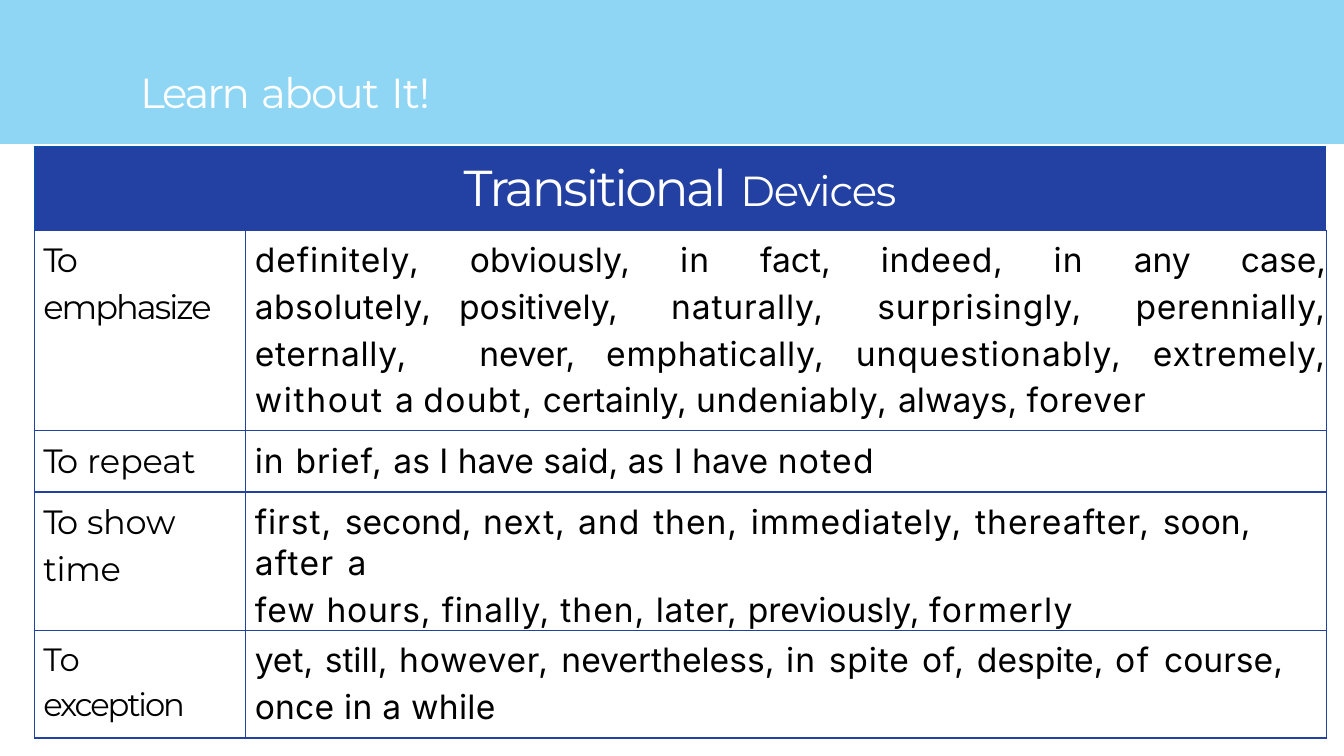
from pptx import Presentation
from pptx import util as u
from pptx.dml.color import RGBColor
from pptx.enum import shapes, text
from pptx.oxml import parse_xml
from pptx.oxml.ns import nsdecls

Cm, Pt = u.Cm, u.Pt


class Theme:
    sky, navy, edge = "8ED6F3", "2340A3", "0055B3"
    white, black = "FFFFFF", "000000"
    head, body = "Montserrat", "Inter"
    big, title, cell, small = 36, 30, 24, 23


def write(frame, runs, font=Theme.body, size=Theme.cell, color=Theme.black,
          align=text.PP_ALIGN.LEFT, before=0, line=1.0, indent=0.23, space=0):
    """Add a paragraph of (words, tracking[, size]) runs; space widens the gap after each."""
    para = frame.paragraphs[0]
    if para.runs:
        para = frame.add_paragraph()
    para.alignment, para.line_spacing = align, line
    para.space_before = Pt(before)
    props = para._p.get_or_add_pPr()
    props.set("marL", str(Cm(indent)))
    props.set("indent", "0")
    for words, track, *own in runs:
        if words == "\n":
            para.add_line_break()
            continue
        parts = [(words, track)]
        if space and words.endswith(" "):
            parts = [(words[:-1], track), (" ", track + space)]
        for part, gap in parts:
            run = para.add_run()
            run.text = part
            run.font.name, run.font.bold = font, False
            run.font.size = Pt(own[0] if own else size)
            run.font.color.rgb = RGBColor.from_string(color)
            run._r.get_or_add_rPr().set("spc", str(round(gap * 100)))


def frame_cell(cell, top, left, right, low):
    """Draw the four borders of a cell in the given colours."""
    props = cell._tc.get_or_add_tcPr()
    for i, (side, color) in enumerate(zip("LRTB", (left, right, top, low))):
        props.insert(i, parse_xml(
            f'<a:ln{side} {nsdecls("a")} w="{Pt(1)}"><a:solidFill>'
            f'<a:srgbClr val="{color}"/></a:solidFill></a:ln{side}>'))


deck = Presentation()
deck.slide_width, deck.slide_height = Cm(33.87), Cm(19.05)
slide = deck.slides.add_slide(deck.slide_layouts[5])

# Banner and title
band = slide.shapes.add_shape(shapes.MSO_SHAPE.RECTANGLE, 0, 0, deck.slide_width, Cm(3.63))
band.shadow.inherit = False
band.fill.solid()
band.fill.fore_color.rgb = RGBColor.from_string(Theme.sky)
band.line.fill.background()
slide.shapes._spTree.insert(2, band._element)

title = slide.shapes.title
title.left, title.top, title.width, title.height = Cm(3.5), Cm(1.65), Cm(7.9), Cm(1.35)
frame = title.text_frame
frame.margin_left = frame.margin_right = frame.margin_bottom = 0
frame.margin_top = Cm(0.03)
frame.vertical_anchor = text.MSO_ANCHOR.TOP
frame.auto_size = text.MSO_AUTO_SIZE.NONE
write(frame, [("Learn ", -1.6), ("about ", -1.2), ("It!", -0.6)], font=Theme.head,
      size=Theme.title, color=Theme.white, before=1, indent=0.03, space=1.7)

# Each row: top margin, space before, line spacing, word gap, label and device paragraphs
near, mid, far, vast = [(" ", gap) for gap in (6.5, 13.5, 25, 43)]
brk = ("\n", 0)
rows = [
    (0.1, 3, 1.15, 0,
     [[("To ", -2.8), ("emphasize", -1.4)]],
     [[("definitely,", 0.7), far, ("obviously,", 0), far, ("in", 0.8), far,
       ("fact,", 0), far, ("indeed,", 0.5), far, ("in", 0.8), far, ("any", 0), far,
       ("case,", 0), brk,
       ("absolutely,", 0.4), near, ("positively,", 0), far, ("naturally,", 0.6), far,
       ("surprisingly,", 0.6), far, ("perennially,", 0.5), brk,
       ("eternally,", 0.5), vast, ("never,", -0.1), mid, ("emphatically,", 0.5), mid,
       ("unquestionably,", 0.7), mid, ("extremely,", 0.6), brk,
       ("without ", 1.2), ("a ", 0), ("doubt,", 1), (" certainly, ", -0.1),
       ("undeniably, ", 0.6), ("always, ", 0), ("forever", 0.7)]]),
    (0.25, 7.4, 1.0, 0,
     [[("To ", -2.5), ("repeat", -0.1)]],
     [[("in ", 0.8), ("brief, ", 0.7), ("as I have said, as I have ", 0), ("noted", 0.9)]]),
    (0.25, 7.4, 1.0, 1.5,
     [[("To ", -2.5), ("show", -0.2)], [("time", -0.2)]],
     [[("first, ", 0.7), ("second, ", 0), ("next, ", 0.6), ("and ", 0.8), ("then, ", 0.7),
       ("immediately, ", 0.7), ("thereafter, ", 0.8), ("soon, ", 0), ("after ", 1),
       ("a", -0.5)],
      [("few ", 0.8), ("hours, ", 0.6), ("finally, ", 0.5), ("then, ", 0.7),
       ("later, ", 0.5), ("previously, ", 0), ("formerly", 1)]]),
    (0.1, 3, 1.15, 1.5,
     [[("To", -0.2, Theme.small), brk, ("exception", -1.5, Theme.small)]],
     [[("yet, ", 0), ("still, ", 0), ("however, ", 0.6), ("nevertheless, ", 0), ("in ", 0.8),
       ("spite ", 0.6), ("of, ", 0.5), ("despite, ", 0), ("of ", 1.2), ("course, ", 0),
       ("once in a while", 0.2)]]),
]

# Table
wide, tall = (5.33, 27.23), (2.11, 5.05, 1.55, 2.72, 2.72)
table = slide.shapes.add_table(len(tall), len(wide), Cm(0.86), Cm(3.69),
                               Cm(sum(wide)), Cm(sum(tall))).table
table.first_row = table.horz_banding = False
for col, size in zip(table.columns, wide):
    col.width = Cm(size)
for row, size in zip(table.rows, tall):
    row.height = Cm(size)
for cell in table.iter_cells():
    cell.margin_left = cell.margin_right = cell.margin_bottom = 0
    cell.fill.background()

head = table.cell(0, 0)
head.merge(table.cell(0, 1))
head.margin_top = Cm(0.28)
head.fill.solid()
head.fill.fore_color.rgb = RGBColor.from_string(Theme.navy)
frame_cell(head, Theme.edge, Theme.edge, Theme.white, Theme.navy)
write(head.text_frame, [("Transitional ", -1.8, Theme.big), ("Devices", -0.8)],
      font=Theme.head, size=Theme.title, color=Theme.white,
      align=text.PP_ALIGN.CENTER, before=7.7, indent=0, space=2)

for r, (margin, first, line, gap, *sides) in enumerate(rows, 1):
    for c, (paras, font) in enumerate(zip(sides, (Theme.head, Theme.body))):
        cell = table.cell(r, c)
        cell.margin_top = Cm(margin)
        frame_cell(cell, *[Theme.navy] * 4)
        align = text.PP_ALIGN.JUSTIFY if (r, c) == (1, 1) else text.PP_ALIGN.LEFT
        for i, runs in enumerate(paras):
            write(cell.text_frame, runs, font=font, align=align, line=line,
                  before=4.4 if i else first, space=0 if i else (2, gap)[c])

deck.save("out.pptx")
